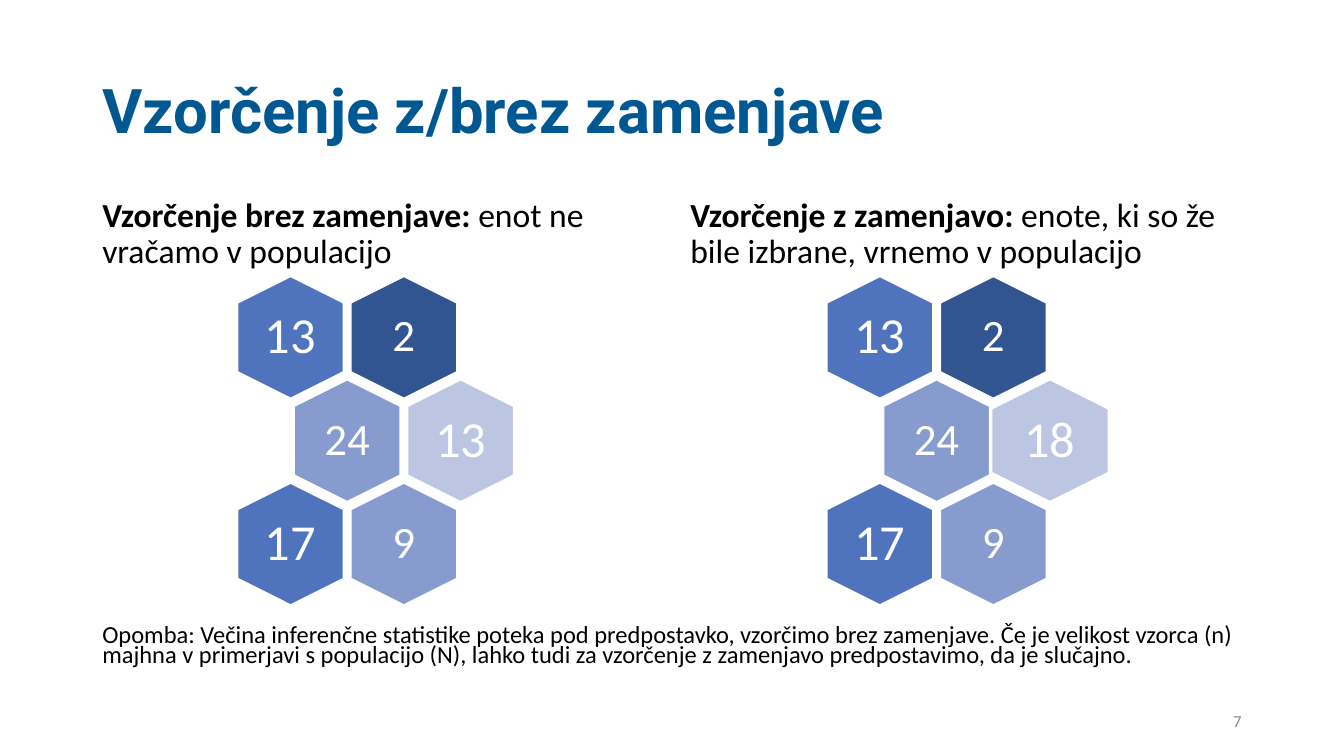
from pptx import Presentation
from pptx.dml.color import RGBColor
from pptx.enum import shapes, text
from pptx.util import Pt

LEFT, WIDTH = 66, 828
COLUMN_SHIFT = 421          # from the left cluster to the right one
FIRST_X, FIRST_Y = 207.5, 241
PITCH_X, PITCH_Y = 81, 73.8
HEX_LENGTH, HEX_WIDTH, WIDE_HEX = 87, 75.6, 83.5
NAVY, BLUE, MID, PALE = "325491", "4F73BD", "879BCE", "BCC6E2"


def rgb(value):
    return RGBColor.from_string(value)


def write(sp, runs, size, color="000000", font="Calibri", align=text.PP_ALIGN.LEFT,
          anchor=text.MSO_ANCHOR.TOP, spacing=0.9, inset=None):
    """Fill a shape with one paragraph; runs are (wording, bold) pairs."""
    tf = sp.text_frame
    tf.word_wrap = True
    tf.auto_size = text.MSO_AUTO_SIZE.NONE
    tf.vertical_anchor = anchor
    if inset is not None:
        tf.margin_left = tf.margin_right = Pt(inset)
        tf.margin_top = tf.margin_bottom = Pt(inset)
    p = tf.paragraphs[0]
    p.alignment = align
    p.line_spacing = spacing
    for wording, bold in runs:
        r = p.add_run()
        r.text = wording
        r.font.name = font
        r.font.size = Pt(size)
        r.font.bold = bold
        r.font.color.rgb = rgb(color)


def add_text(parent, x, y, w, h, runs, size, **fmt):
    sp = parent.add_textbox(Pt(x), Pt(y), Pt(w), Pt(h))
    write(sp, runs, size, **fmt)


def add_hexagon(parent, cx, cy, width, fill, number, size):
    sp = parent.add_shape(shapes.MSO_SHAPE.HEXAGON, Pt(cx - HEX_LENGTH / 2),
                          Pt(cy - width / 2), Pt(HEX_LENGTH), Pt(width))
    sp.rotation = 90
    sp.shadow.inherit = False
    sp.fill.solid()
    sp.fill.fore_color.rgb = rgb(fill)
    sp.line.color.rgb = rgb("FFFFFF")
    sp.line.width = Pt(1)
    # The number stays upright in its own box
    add_text(parent, cx - 26, cy - 30, 52, 60, [(number, False)], size, color="FFFFFF",
             align=text.PP_ALIGN.CENTER, anchor=text.MSO_ANCHOR.MIDDLE, inset=0)


def add_cluster(s, shift, pale_number, pale_width):
    """Three rows of two hexagons, the middle row moved half a pitch."""
    group = s.shapes.add_group_shape().shapes
    rows = [
        [(BLUE, "13", 36), (NAVY, "2", 32)],
        [(MID, "24", 32), (PALE, pale_number, 36)],
        [(BLUE, "17", 36), (MID, "9", 32)],
    ]
    for i, row in enumerate(rows):
        for j, (fill, number, size) in enumerate(row):
            cx = FIRST_X + shift + (j + i % 2 / 2) * PITCH_X
            width = pale_width if fill == PALE else HEX_WIDTH
            add_hexagon(group, cx, FIRST_Y + i * PITCH_Y, width, fill, number, size)


def main():
    prs = Presentation()
    prs.slide_width, prs.slide_height = Pt(960), Pt(540)
    s = prs.slides.add_slide(prs.slide_layouts[5])

    # Title
    title = s.shapes.title
    title.left, title.top, title.width, title.height = Pt(LEFT), Pt(28.75), Pt(WIDTH), Pt(104.4)
    write(title, [("Vzorčenje z/brez zamenjave", True)], 44, color="005892",
          font="Roboto", anchor=text.MSO_ANCHOR.MIDDLE)

    # Two columns: heading and hexagon cluster
    columns = [
        (LEFT, 406, "Vzorčenje brez zamenjave: ", "enot ne vračamo v populacijo",
         0, "13", HEX_WIDTH),
        (486, 408, "Vzorčenje z zamenjavo: ", "enote, ki so že bile izbrane, vrnemo v populacijo",
         COLUMN_SHIFT, "18", WIDE_HEX),
    ]
    for x, w, term, meaning, shift, pale_number, pale_width in columns:
        add_text(s.shapes, x, 132.5, w, 64.8, [(term, True), (meaning, False)], 24,
                 anchor=text.MSO_ANCHOR.BOTTOM)
        add_cluster(s, shift, pale_number, pale_width)

    # Note and slide number
    note = ("Opomba: Večina inferenčne statistike poteka pod predpostavko, vzorčimo brez "
            "zamenjave. Če je velikost vzorca (n) majhna v primerjavi s populacijo (N), lahko "
            "tudi za vzorčenje z zamenjavo predpostavimo, da je slučajno.")
    add_text(s.shapes, LEFT, 444.25, WIDTH, 43.2, [(note, False)], 17.5, spacing=0.7)
    add_text(s.shapes, 678, 500.5, 216, 28.8, [("7", False)], 12, color="8C8C8C",
             align=text.PP_ALIGN.RIGHT, anchor=text.MSO_ANCHOR.MIDDLE, spacing=1.0)

    prs.save("out.pptx")


if __name__ == "__main__":
    main()
